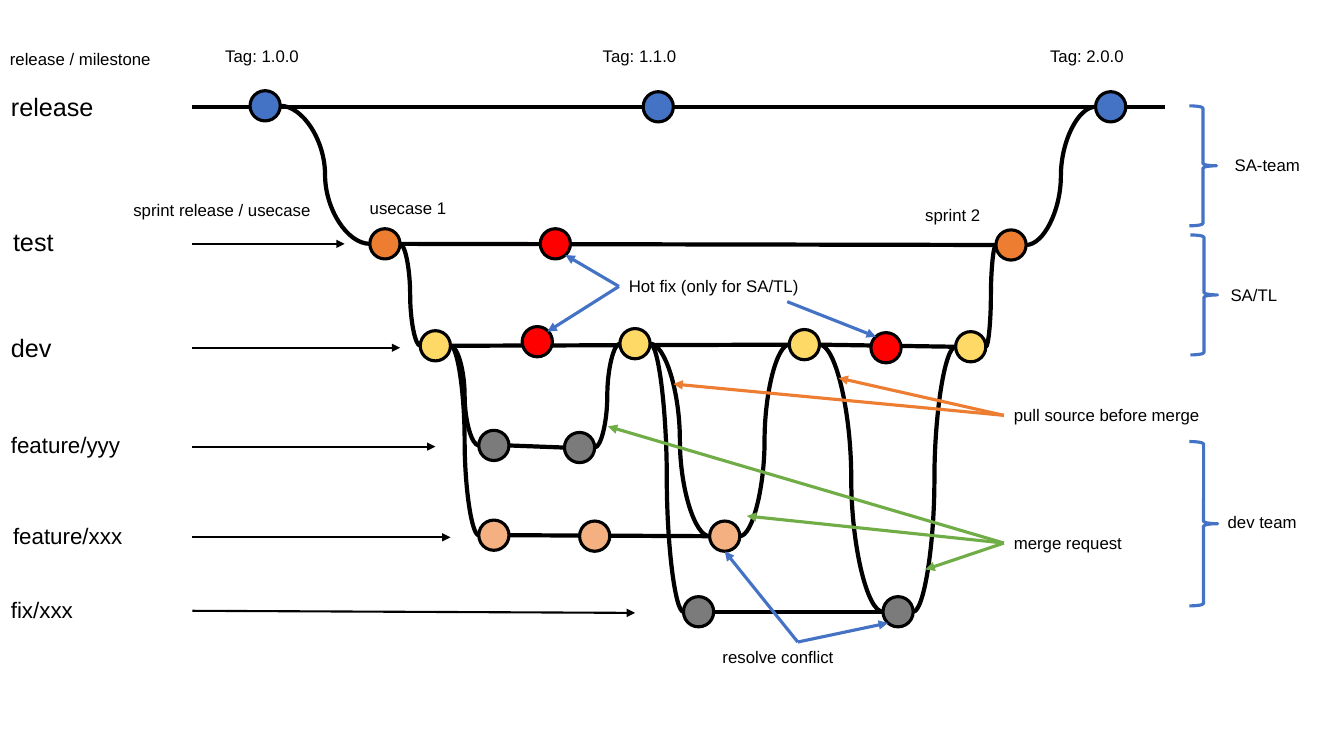
from lxml.etree import SubElement
from pptx import Presentation
from pptx.dml.color import RGBColor
from pptx.enum.shapes import MSO_CONNECTOR, MSO_SHAPE
from pptx.enum.text import MSO_AUTO_SIZE
from pptx.oxml.ns import qn
from pptx.util import Pt

presentation = Presentation()
presentation.slide_width = Pt(960)
presentation.slide_height = Pt(540)
slide = presentation.slides.add_slide(presentation.slide_layouts[6])

BLACK = "000000"
BLUE = "4472C4"
ORANGE = "ED7D31"
GREEN = "70AD47"
YELLOW = "FFD966"
RED = "FF0000"
GRAY = "7B7B7B"
PEACH = "F4B081"
RADIUS = 10.8


def paint(color_format, color):
    color_format.rgb = RGBColor.from_string(color)


def add_line(kind, start, end, color, width, arrow=False):
    connector = slide.shapes.add_connector(kind, *map(Pt, (*start, *end)))
    paint(connector.line.color, color)
    connector.line.width = Pt(width)
    if arrow:
        SubElement(connector.line._get_or_add_ln(), qn("a:tailEnd"), type="triangle")
    SubElement(connector._element.spPr, qn("a:effectLst"))
    return connector


commits = {
    "release 1": (189.4, 75.6, BLUE),
    "release 2": (470.2, 76.3, BLUE),
    "release 3": (793.4, 76.3, BLUE),
    "test 1": (275, 174.2, ORANGE),
    "test 2": (722.2, 175, ORANGE),
    "test hot fix": (396.7, 174.2, RED),
    "dev 1": (311, 247, YELLOW),
    "dev 2": (453.6, 245.5, YELLOW),
    "dev 3": (574.6, 246.2, YELLOW),
    "dev 4": (693.4, 247.7, YELLOW),
    "dev hot fix 1": (383.8, 244.1, RED),
    "dev hot fix 2": (632.9, 248.4, RED),
    "yyy 1": (352.8, 318.2, GRAY),
    "yyy 2": (414, 319.7, GRAY),
    "xxx 1": (352.8, 382.3, PEACH),
    "xxx 2": (424.8, 383, PEACH),
    "xxx 3": (517.7, 383, PEACH),
    "fix 1": (499, 437, GRAY),
    "fix 2": (641.5, 437, GRAY),
}

branches = [
    ("test 1", "test 2"), ("dev 1", "dev 3"), ("dev 3", "dev 4"),
    ("yyy 1", "yyy 2"), ("xxx 1", "xxx 3"), ("fix 1", "fix 2"),
]
forks_and_merges = [
    ("release 1", "test 1"), ("test 2", "release 3"),
    ("test 1", "dev 1"), ("dev 4", "test 2"),
    ("dev 1", "yyy 1"), ("yyy 2", "dev 2"),
    ("dev 1", "xxx 1"), ("dev 2", "xxx 3"), ("xxx 3", "dev 3"),
    ("dev 2", "fix 1"), ("dev 3", "fix 2"), ("fix 2", "dev 4"),
]

add_line(MSO_CONNECTOR.STRAIGHT, (136.8, 76.3), (832.3, 76.3), BLACK, 3)
for kind, links in ((MSO_CONNECTOR.STRAIGHT, branches), (MSO_CONNECTOR.CURVE, forks_and_merges)):
    for source, target in links:
        source_x, source_y, _ = commits[source]
        target_x, target_y, _ = commits[target]
        add_line(kind, (source_x + RADIUS, source_y), (target_x - RADIUS, target_y), BLACK, 3)

for x, y, color in commits.values():
    dot = slide.shapes.add_shape(
        MSO_SHAPE.OVAL, Pt(x - RADIUS), Pt(y - RADIUS), Pt(2 * RADIUS), Pt(2 * RADIUS))
    dot.shadow.inherit = False
    dot.fill.solid()
    paint(dot.fill.fore_color, color)
    paint(dot.line.color, BLACK)
    dot.line.width = Pt(2.25)

lane_arrows = [
    (174.2, 246.2, 174.2), (248.4, 285.8, 248.4), (319, 311, 319),
    (383.8, 321.8, 383.8), (436.3, 453.6, 437.8),
]
for start_y, end_x, end_y in lane_arrows:
    add_line(MSO_CONNECTOR.STRAIGHT, (137.5, start_y), (end_x, end_y), BLACK, 1.5, True)

labels = [
    ("release", 0.7, 61.9, 135.4, 18),
    ("test", 2.2, 158.4, 135.4, 18),
    ("dev", 0.7, 234, 136.8, 18),
    ("feature/yyy", 0.7, 304.6, 136.8, 16),
    ("feature/xxx", 2.2, 369.4, 135.4, 16),
    ("fix/xxx", 0.7, 422.6, 136.8, 16),
    ("release / milestone", 0, 31, 141.8, 12),
    ("Tag: 1.0.0", 153.8, 29.2, 104.4, 12),
    ("Tag: 1.1.0", 423.4, 29.2, 104.4, 12),
    ("Tag: 2.0.0", 743, 29.2, 104.4, 12),
    ("sprint release / usecase", 88.2, 139, 141.8, 12),
    ("usecase 1", 257, 137.5, 104.4, 12),
    ("sprint 2", 653.8, 142.6, 104.4, 12),
    ("Hot fix (only for SA/TL)", 442.1, 193.7, 240.5, 12),
    ("pull source before merge", 717.1, 285.8, 182.9, 12),
    ("merge request", 717.1, 377, 182.9, 12),
    ("resolve conflict", 509, 458.6, 121.7, 12),
    ("SA-team", 874.8, 107.3, 104.4, 12),
    ("SA/TL", 871.9, 199.8, 50.4, 12),
    ("dev team", 869.8, 362.2, 104.4, 12),
]
heights = {18: 29.1, 16: 26.7, 12: 21.8}
notes = {}
for text, left, top, width, size in labels:
    text_box = slide.shapes.add_textbox(Pt(left), Pt(top), Pt(width), Pt(heights[size]))
    text_box.text_frame.word_wrap = True
    text_box.text_frame.auto_size = MSO_AUTO_SIZE.SHAPE_TO_FIT_TEXT
    run = text_box.text_frame.paragraphs[0].add_run()
    run.text = text
    run.font.name = "Arial"
    run.font.size = Pt(size)
    paint(run.font.color, BLACK)
    notes[text] = text_box

TOP, LEFT, BOTTOM = 0, 1, 2
pointers = [
    ("Hot fix (only for SA/TL)", LEFT, BLUE, [(403.9, 182.2), (391, 236.9)]),
    ("Hot fix (only for SA/TL)", BOTTOM, BLUE, [(625.7, 240.5)]),
    ("pull source before merge", LEFT, ORANGE, [(481, 274.3), (599, 270)]),
    ("merge request", LEFT, GREEN, [(434.2, 304.6), (533.5, 368.6), (661, 406.8)]),
    ("resolve conflict", TOP, BLUE, [(634.3, 445), (517.7, 393.8)]),
]
for note, side, color, targets in pointers:
    for target in targets:
        pointer = add_line(MSO_CONNECTOR.STRAIGHT, target, target, color, 2.25, True)
        pointer.begin_connect(notes[note], side)

braces = [(849.6, 75.6, 19.4, 85.7), (850.3, 167.8, 19.4, 85.7), (849.6, 315.4, 20.2, 117.4)]
for bounds in braces:
    brace = slide.shapes.add_shape(MSO_SHAPE.RIGHT_BRACE, *map(Pt, bounds))
    brace.shadow.inherit = False
    brace.fill.background()
    paint(brace.line.color, BLUE)
    brace.line.width = Pt(2.25)

presentation.save("out.pptx")
